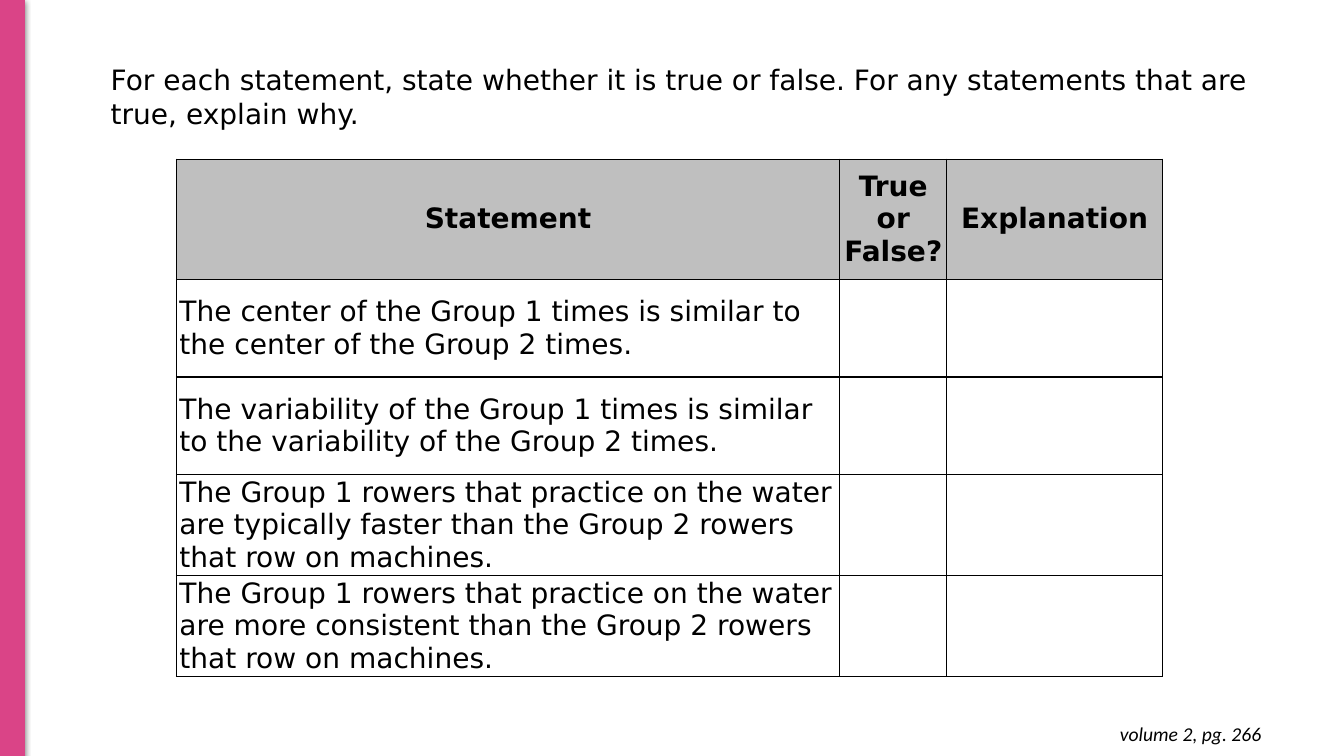
import pptx
import pptx.util
import pptx.dml.color
import pptx.enum.shapes
import pptx.enum.text
import pptx.oxml
import pptx.oxml.ns
from dataclasses import dataclass

Inches = pptx.util.Inches
Align = pptx.enum.text.PP_ALIGN
Anchor = pptx.enum.text.MSO_ANCHOR


@dataclass(frozen=True)
class Theme:
    accent: str = "DA4487"
    ink: str = "000000"
    paper: str = "FFFFFF"
    header: str = "BFBFBF"
    body_font: str = "DejaVu Sans"
    note_font: str = "Calibri"
    body_size: int = 20
    note_size: int = 14


THEME = Theme()
BODY = {"name": THEME.body_font, "size": pptx.util.Pt(THEME.body_size), "bold": False}
HEADING = BODY | {"bold": True}
NOTE = {"name": THEME.note_font, "size": pptx.util.Pt(THEME.note_size), "italic": True}

HEADERS = ["Statement", "True or False?", "Explanation"]
STATEMENTS = [
    "The center of the Group 1 times is similar to the center of the Group 2 times.",
    "The variability of the Group 1 times is similar to the variability of the Group 2 times.",
    "The Group 1 rowers that practice on the water are typically faster than "
    "the Group 2 rowers that row on machines.",
    "The Group 1 rowers that practice on the water are more consistent than "
    "the Group 2 rowers that row on machines.",
]
COLUMN_WIDTHS = [6.58, 1.06, 2.14]
HEADER_HEIGHT, ROW_HEIGHT = 1.19, 0.97


def color(value):
    return pptx.dml.color.RGBColor.from_string(value)


def set_fill(target, value):
    target.fill.solid()
    target.fill.fore_color.rgb = color(value)


def write(text_frame, text, font_format, alignment):
    paragraph = text_frame.paragraphs[0]
    paragraph.alignment = alignment
    run = paragraph.add_run()
    run.text = text
    for name, value in font_format.items():
        setattr(run.font, name, value)
    run.font.color.rgb = color(THEME.ink)


def add_text(slide, box, text, font_format, alignment, vertical_inset):
    text_frame = slide.shapes.add_textbox(*map(Inches, box)).text_frame
    text_frame.word_wrap = True
    text_frame.margin_top = text_frame.margin_bottom = Inches(vertical_inset)
    write(text_frame, text, font_format, alignment)


def add_stripe(slide, box):
    """Add the accent bar with its soft shadow."""
    shape = slide.shapes.add_shape(
        pptx.enum.shapes.MSO_SHAPE.RECTANGLE, *map(Inches, box))
    set_fill(shape, THEME.accent)
    shape.line.color.rgb = color(THEME.accent)
    shape.line.width = pptx.util.Pt(0.75)
    shape.shadow.inherit = False
    effects = shape._element.spPr.find(pptx.oxml.ns.qn("a:effectLst"))
    effects.append(pptx.oxml.parse_xml(
        f'<a:outerShdw {pptx.oxml.ns.nsdecls("a")} blurRad="57150" dist="19050" '
        f'dir="5400000" algn="bl" rotWithShape="0"><a:srgbClr val="{THEME.ink}">'
        '<a:alpha val="50000"/></a:srgbClr></a:outerShdw>'))


def add_borders(cell):
    properties = cell._tc.get_or_add_tcPr()
    for side in "LRTB":
        properties.append(pptx.oxml.parse_xml(
            f'<a:ln{side} {pptx.oxml.ns.nsdecls("a")} w="12700"><a:solidFill>'
            f'<a:srgbClr val="{THEME.ink}"/></a:solidFill></a:ln{side}>'))


def format_cell(cell, fill):
    add_borders(cell)
    set_fill(cell, fill)
    cell.vertical_anchor = Anchor.MIDDLE
    cell.margin_left = cell.margin_right = Inches(0.03)
    cell.margin_top = cell.margin_bottom = 0


def add_statement_table(slide, left, top):
    row_heights = [HEADER_HEIGHT] + [ROW_HEIGHT] * len(STATEMENTS)
    table = slide.shapes.add_table(
        len(row_heights), len(COLUMN_WIDTHS), Inches(left), Inches(top),
        Inches(sum(COLUMN_WIDTHS)), Inches(sum(row_heights))).table
    table.first_row = table.horz_banding = False
    for column, width in zip(table.columns, COLUMN_WIDTHS):
        column.width = Inches(width)
    for index, (row, height) in enumerate(zip(table.rows, row_heights)):
        row.height = Inches(height)
        for cell in row.cells:
            format_cell(cell, THEME.paper if index else THEME.header)
    for column, header in enumerate(HEADERS):
        write(table.cell(0, column).text_frame, header, HEADING, Align.CENTER)
    for row, statement in enumerate(STATEMENTS, start=1):
        write(table.cell(row, 0).text_frame, statement, BODY, Align.LEFT)


def main():
    presentation = pptx.Presentation()
    presentation.slide_width = Inches(13.33)
    presentation.slide_height = Inches(7.5)
    slide = presentation.slides.add_slide(presentation.slide_layouts[6])
    add_stripe(slide, (0, 0, 0.24, 7.51))
    add_text(slide, (9.73, 7.06, 2.88, 0.44), "volume 2, pg. 266",
             NOTE, Align.RIGHT, 0.1)
    add_text(slide, (1, 0.57, 11.5, 0.77),
             "For each statement, state whether it is true or false. "
             "For any statements that are true, explain why.",
             BODY, Align.LEFT, 0.05)
    add_statement_table(slide, 1.75, 1.58)
    presentation.save("out.pptx")


if __name__ == "__main__":
    main()
